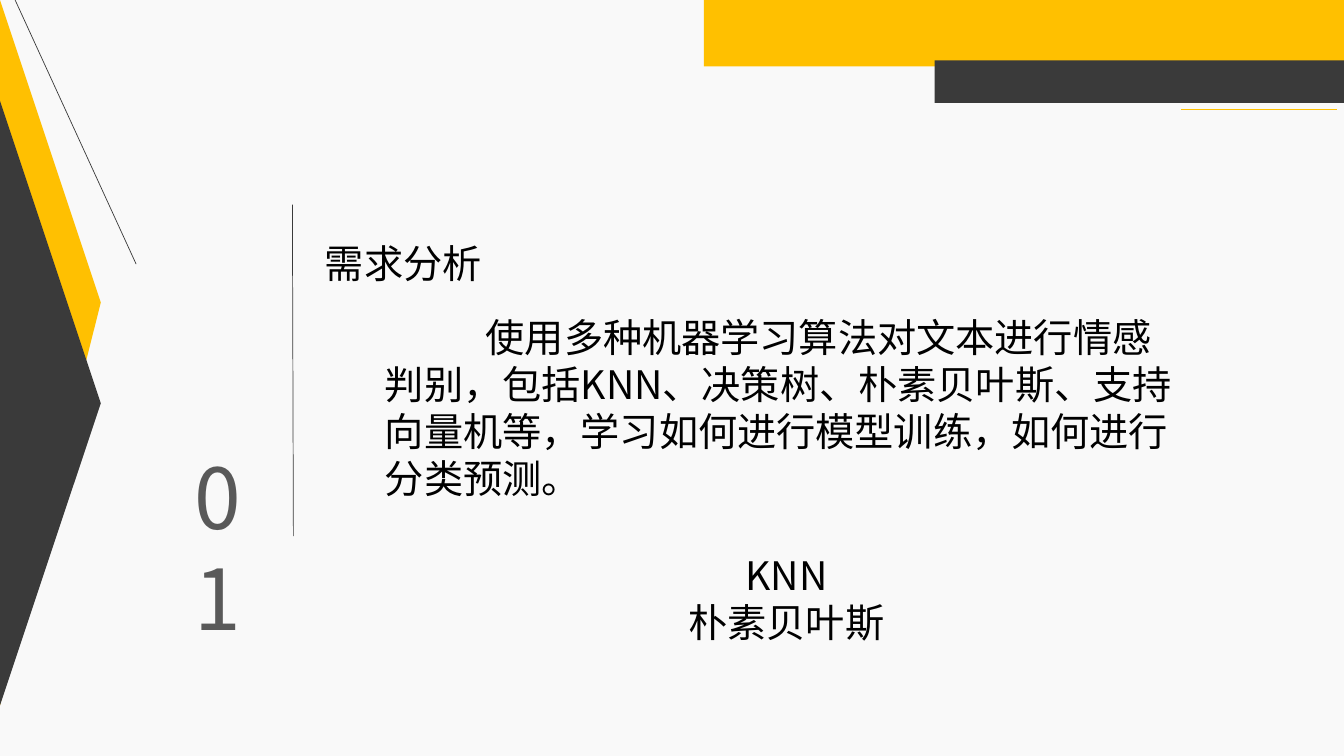
"""Build the requirements analysis slide with its yellow and dark decorations."""
from lxml.etree import SubElement
from pptx import Presentation
from pptx.dml.color import RGBColor
from pptx.enum.shapes import MSO_CONNECTOR, MSO_SHAPE
from pptx.enum.text import PP_ALIGN
from pptx.oxml.ns import qn
from pptx.util import Inches, Pt

YELLOW, DARK, GRAY, BLACK = "FFC001", "3A3A3A", "595959", "000000"
SC, JP = "Noto Sans CJK SC", "Noto Sans CJK JP"


def paint(fill, color):
    fill.solid()
    fill.fore_color.rgb = RGBColor.from_string(color)


presentation = Presentation()
presentation.slide_width = Inches(13.33)
presentation.slide_height = Inches(7.5)
slide = presentation.slides.add_slide(presentation.slide_layouts[6])
paint(slide.background.fill, "F9F9F9")
shapes = slide.shapes

triangles = [
    (YELLOW, (0, 0), (1.49, 3.3), (0, 6.65)),
    (DARK, (0, 0.7), (1.49, 3.98), (0, 7.32)),
]
for color, start, *corners in triangles:
    builder = shapes.build_freeform(*start, scale=Inches(1))
    builder.add_line_segments(corners, close=True)
    triangle = builder.convert_to_shape()
    triangle.shadow.inherit = False
    paint(triangle.fill, color)
    triangle.line.fill.background()

bars = [("FFC000", 6.98, 0, 6.35, 0.66), (DARK, 9.27, 0.6, 4.06, 0.42)]
for color, *box in bars:
    bar = shapes.add_shape(MSO_SHAPE.RECTANGLE, *map(Inches, box))
    bar.shadow.inherit = False
    paint(bar.fill, color)
    bar.line.fill.background()

lines = [
    (DARK, 1.35, 2.62, 0.15, 0),
    (DARK, 2.9, 2.03, 2.91, 5.32),
    (YELLOW, 11.71, 1.09, 13.26, 1.09),
]
for color, *ends in lines:
    line = shapes.add_connector(MSO_CONNECTOR.STRAIGHT, *map(Inches, ends))
    line.line.width = Pt(0.5)
    paint(line.line.fill, color)
    SubElement(line._element.spPr, qn("a:effectLst"))

body = (
    "使用多种机器学习算法对文本进行情感判别，包括KNN、决策树、朴素贝叶斯、"
    "支持向量机等，学习如何进行模型训练，如何进行分类预测。"
)
texts = [
    ("01", (1.83, 4.26, 0.93, 1.11), 60, JP, JP, GRAY, PP_ALIGN.LEFT, 0),
    ("需求分析", (3.12, 2.27, 1.76, 0.57), 28, "Calibri", SC, BLACK, PP_ALIGN.CENTER, 0),
    (body, (3.72, 3.01, 8.17, 1.98), 28, SC, SC, BLACK, PP_ALIGN.LEFT, 1),
    ("KNN\n朴素贝叶斯", (6.28, 5.37, 3.04, 1.04), 28, SC, SC, BLACK, PP_ALIGN.CENTER, 0),
]
for text, box, size, latin, east_asian, color, alignment, indent in texts:
    frame = shapes.add_textbox(*map(Inches, box)).text_frame
    frame.word_wrap = True
    frame.margin_top = Inches(0.05) + Pt(size * 0.13)
    frame.text = text
    for paragraph in frame.paragraphs:
        paragraph.alignment = alignment
        paragraph.line_spacing = Pt(size * 1.2)
        paragraph.font.size = Pt(size)
        paragraph.font.name = latin
        paint(paragraph.font.fill, color)
        properties = paragraph._p.get_or_add_pPr()
        properties.set("indent", str(Inches(indent)))
        SubElement(properties.find(qn("a:defRPr")), qn("a:ea"), typeface=east_asian)

presentation.save("out.pptx")
